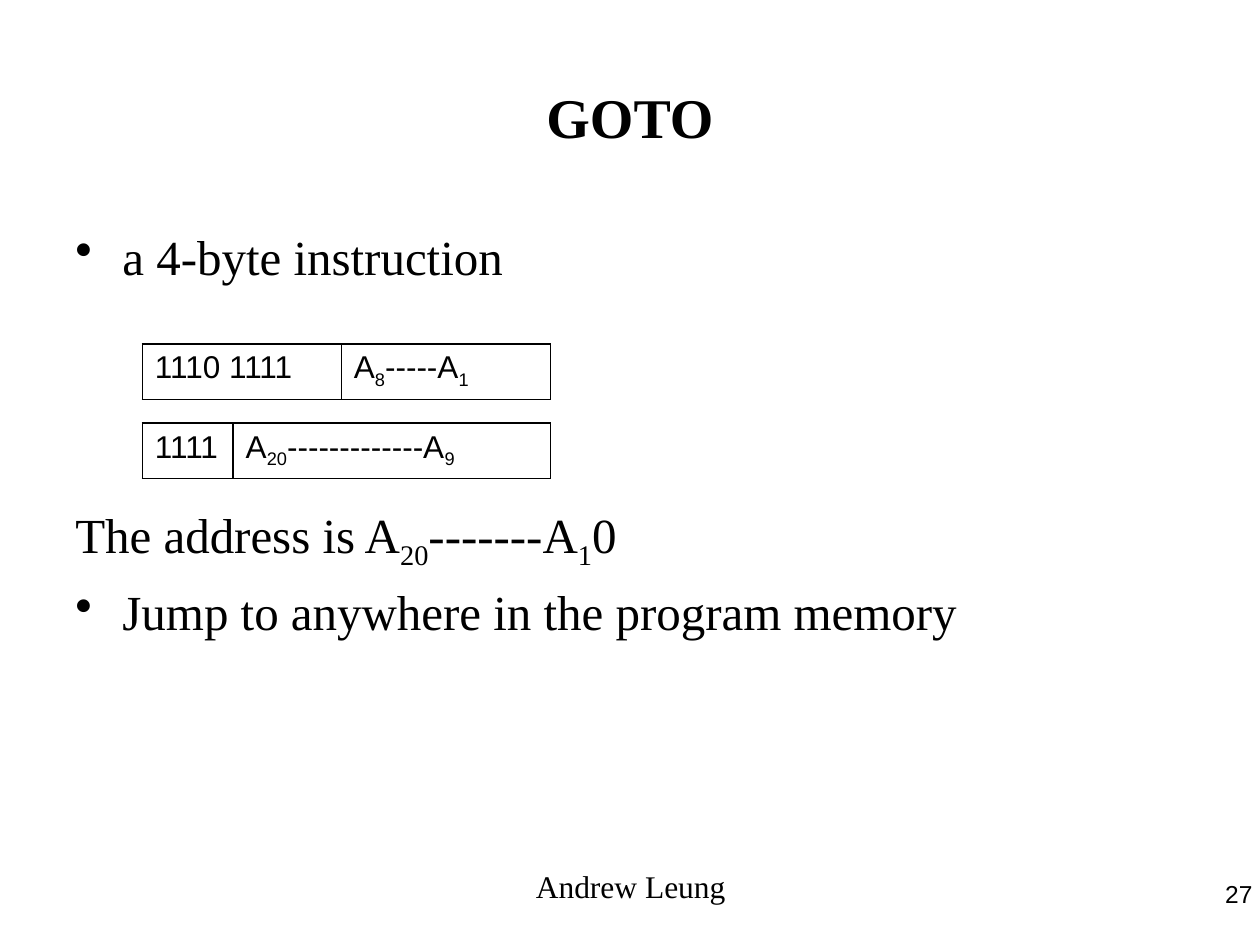
import dataclasses

import lxml.etree
import pptx
import pptx.dml.color
import pptx.enum.text
import pptx.oxml.ns
import pptx.util
from pptx.util import Cm

ALIGN = pptx.enum.text.PP_ALIGN


@dataclasses.dataclass(frozen=True)
class Theme:
    """Colours, fonts and type sizes of the slide."""
    ink: str = "000000"
    serif: str = "Times New Roman"
    sans: str = "Arial"
    title: int = 32
    body: int = 28
    small: int = 18
    number: int = 14
    border: int = 1


THEME = Theme()


def add_child(parent, tag, **attributes):
    """Append a DrawingML element to parent and return it."""
    return lxml.etree.SubElement(parent, pptx.oxml.ns.qn(tag), attributes)


def write(paragraph, text, font_name, size, align=ALIGN.LEFT, bold=False):
    """Write text in one style; parts between bars are subscripts."""
    paragraph.alignment = align
    font = paragraph.font
    font.name, font.size, font.bold = font_name, pptx.util.Pt(size), bold
    font.color.rgb = pptx.dml.color.RGBColor.from_string(THEME.ink)
    for index, part in enumerate(text.split("|")):
        if part:
            run = paragraph.add_run()
            run.text = part
            if index % 2:
                run._r.get_or_add_rPr().set("baseline", "-25000")


def add_text_frame(slide, box):
    """Add a wrapping text box and return its text frame."""
    frame = slide.shapes.add_textbox(*box).text_frame
    frame.word_wrap = True
    return frame


def add_label(slide, box, text, font_name, size, align, bold=False, middle=False):
    """Add a one-paragraph text box."""
    frame = add_text_frame(slide, box)
    if middle:
        frame.vertical_anchor = pptx.enum.text.MSO_ANCHOR.MIDDLE
    write(frame.paragraphs[0], text, font_name, size, align, bold)


def add_body(slide, box, items):
    """Add body paragraphs given as (text, has bullet, points before)."""
    frame = add_text_frame(slide, box)
    for index, (text, bullet, before) in enumerate(items):
        paragraph = frame.add_paragraph() if index else frame.paragraphs[0]
        write(paragraph, text, THEME.serif, THEME.body)
        paragraph.space_before = pptx.util.Pt(before)
        properties = paragraph._p.get_or_add_pPr()
        properties.set("marL", str(Cm(0.95)))
        properties.set("indent", str(-Cm(0.95)))
        if bullet:
            mark = lxml.etree.Element(pptx.oxml.ns.qn("a:buChar"), char="•")
            properties.find(pptx.oxml.ns.qn("a:defRPr")).addprevious(mark)


def style_cell(cell):
    """Give a cell thin borders and no fill."""
    properties = cell._tc.get_or_add_tcPr()
    for side in ("a:lnL", "a:lnR", "a:lnT", "a:lnB"):
        line = add_child(properties, side, w=str(pptx.util.Pt(THEME.border)))
        add_child(add_child(line, "a:solidFill"), "a:srgbClr", val=THEME.ink)
    cell.fill.background()


def add_instruction_word(slide, box, opcode_width, fields):
    """Add a one-row table: the opcode bits, then the address bits."""
    table = slide.shapes.add_table(1, 2, *box).table
    table.first_row = table.horz_banding = False
    widths = (opcode_width, box[2] - opcode_width)
    for column, width, cell, text in zip(table.columns, widths, table.rows[0].cells, fields):
        column.width = width
        style_cell(cell)
        write(cell.text_frame.paragraphs[0], text, THEME.sans, THEME.small)


def build_slide(presentation):
    """Build the GOTO instruction slide."""
    slide = presentation.slides.add_slide(presentation.slide_layouts[6])
    add_label(slide, (Cm(19.58), Cm(17.6), Cm(5.92), Cm(1.32)),
              "27", THEME.sans, THEME.number, ALIGN.RIGHT)
    add_label(slide, (Cm(1.27), Cm(0.76), Cm(22.86), Cm(3.18)), "GOTO",
              THEME.serif, THEME.title, ALIGN.CENTER, bold=True, middle=True)
    add_body(slide, (Cm(1.27), Cm(4.45), Cm(22.86), Cm(12.57)), [
        ("a 4-byte instruction", True, 6),
        ("|The address is A|20|-------A|1|0".lstrip("|"), False, 125),
        ("Jump to anywhere in the program memory", True, 6),
    ])
    words = [
        (Cm(4.01), ("1110 1111", "A|8|-----A|1|")),
        (Cm(1.83), ("1111", "A|20|-------------A|9|")),
    ]
    for index, (opcode_width, fields) in enumerate(words):
        box = (Cm(2.87), Cm(6.93) + index * Cm(1.6), Cm(8.23), Cm(1.04))
        add_instruction_word(slide, box, opcode_width, fields)
    add_label(slide, (Cm(8.69), Cm(17.35), Cm(8.05), Cm(1.32)),
              "Andrew Leung", THEME.serif, THEME.small, ALIGN.CENTER)


presentation = pptx.Presentation()
presentation.slide_width, presentation.slide_height = Cm(25.4), Cm(19.05)
build_slide(presentation)
presentation.save("out.pptx")
